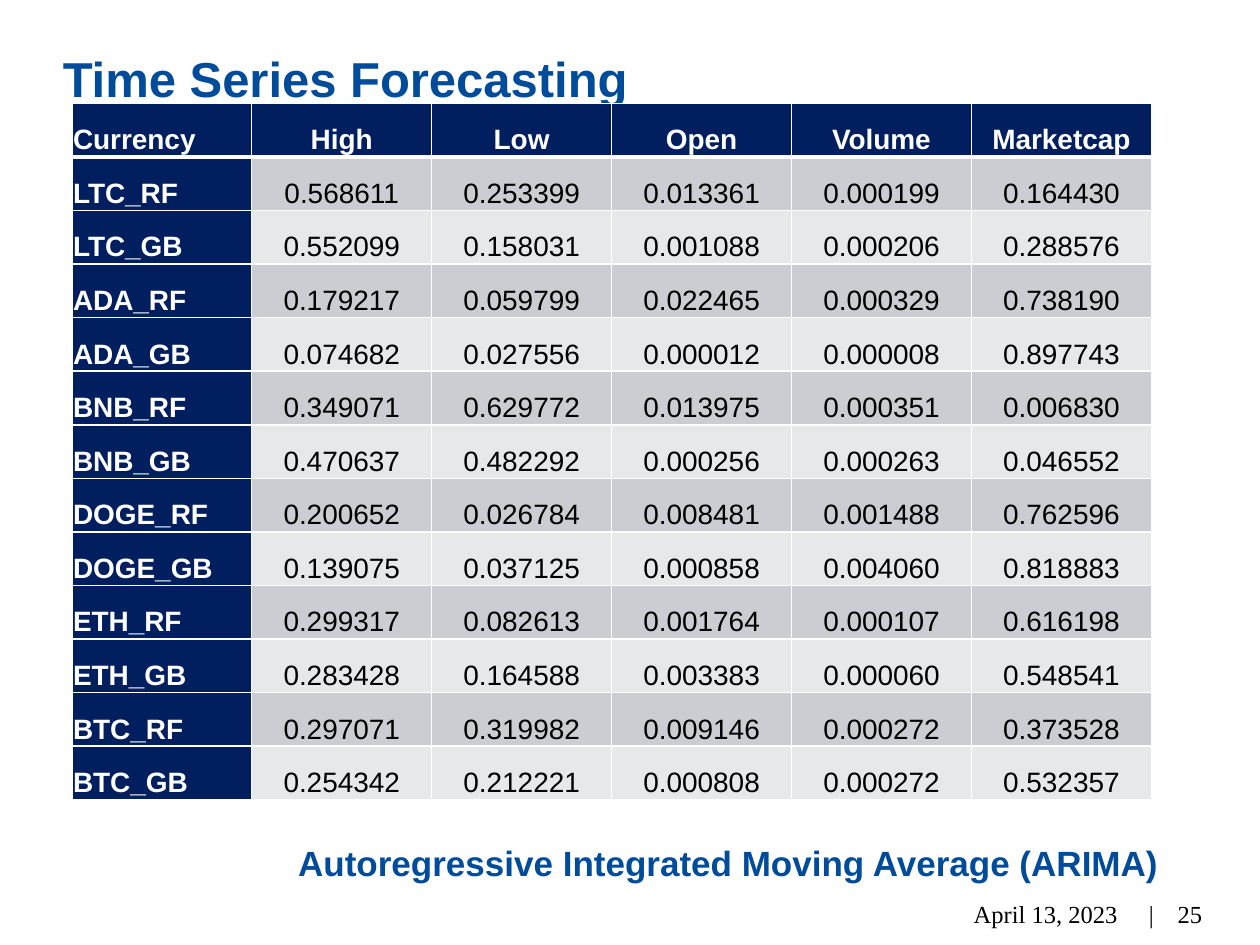
import pptx
import pptx.dml.color
import pptx.enum.text
import pptx.oxml
import pptx.oxml.ns
import pptx.util

Inches = pptx.util.Inches
Pt = pptx.util.Pt
ALIGN = pptx.enum.text.PP_ALIGN
ANCHOR = pptx.enum.text.MSO_ANCHOR

# Content
HEADER = ["Currency", "High", "Low", "Open", "Volume", "Marketcap"]
ROWS = [
    ["LTC_RF", "0.568611", "0.253399", "0.013361", "0.000199", "0.164430"],
    ["LTC_GB", "0.552099", "0.158031", "0.001088", "0.000206", "0.288576"],
    ["ADA_RF", "0.179217", "0.059799", "0.022465", "0.000329", "0.738190"],
    ["ADA_GB", "0.074682", "0.027556", "0.000012", "0.000008", "0.897743"],
    ["BNB_RF", "0.349071", "0.629772", "0.013975", "0.000351", "0.006830"],
    ["BNB_GB", "0.470637", "0.482292", "0.000256", "0.000263", "0.046552"],
    ["DOGE_RF", "0.200652", "0.026784", "0.008481", "0.001488", "0.762596"],
    ["DOGE_GB", "0.139075", "0.037125", "0.000858", "0.004060", "0.818883"],
    ["ETH_RF", "0.299317", "0.082613", "0.001764", "0.000107", "0.616198"],
    ["ETH_GB", "0.283428", "0.164588", "0.003383", "0.000060", "0.548541"],
    ["BTC_RF", "0.297071", "0.319982", "0.009146", "0.000272", "0.373528"],
    ["BTC_GB", "0.254342", "0.212221", "0.000808", "0.000272", "0.532357"],
]

# Colours, fonts and sizes
THEME = {
    "heading": "004C9B", "navy": "011E5E", "white": "FFFFFF", "black": "000000",
    "bands": ["CCCDD2", "E7E8EA"],
    "title_font": {"name": "Arial", "size": Pt(28), "bold": True},
    "caption_font": {"name": "Arial", "size": Pt(20), "bold": True},
    "label_font": {"name": "Arial", "size": Pt(16), "bold": True},
    "value_font": {"name": "Arial", "size": Pt(16), "bold": False},
    "footer_font": {"name": "Times New Roman", "size": Pt(14)},
}
HEADING_LINE = {"line_spacing": Pt(26.6)}
CELL_LINE = {"line_spacing": 1.1, "space_after": Pt(6)}
CELL_FORMAT = {"vertical_anchor": ANCHOR.BOTTOM, **{
    f"margin_{side}": Inches(0.01) for side in ("left", "top", "right", "bottom")}}

# Text, (left, top, width, height), font, colour, paragraph format, anchor, tab stop
TEXT_BOXES = [
    ("Time Series Forecasting", (0.4, 0.43, 9.24, 0.53), "title_font", "heading",
     HEADING_LINE, ANCHOR.TOP, None),
    ("April 13, 2023\t|", (7.63, 7.05, 1.7, 0.4), "footer_font", "black",
     {"alignment": ALIGN.LEFT}, ANCHOR.MIDDLE, 1.39),
    ("25", (8.9, 7.05, 0.74, 0.4), "footer_font", "black",
     {"alignment": ALIGN.RIGHT}, ANCHOR.MIDDLE, None),
    ("Autoregressive Integrated Moving Average (ARIMA) ", (1.2, 6.59, 9.24, 0.53),
     "caption_font", "heading", {"alignment": ALIGN.CENTER, **HEADING_LINE},
     ANCHOR.TOP, None),
]
TABLE_AREA = (0.57, 0.82, 8.57, 5.53)


def apply_format(target, values):
    for name, value in values.items():
        setattr(target, name, value)


def rgb(colour):
    return pptx.dml.color.RGBColor.from_string(colour)


def style_paragraph(paragraph, font, colour, values):
    apply_format(paragraph, values)
    apply_format(paragraph.font, THEME[font])
    paragraph.font.color.rgb = rgb(THEME[colour])


def add_text(slide, text, area, font, colour, values, anchor, tab_stop):
    shape = slide.shapes.add_textbox(*map(Inches, area))
    apply_format(shape.text_frame, {"word_wrap": True, "vertical_anchor": anchor})
    paragraph = shape.text_frame.paragraphs[0]
    paragraph.add_run().text = text
    if tab_stop:
        paragraph._p.get_or_add_pPr().append(pptx.oxml.parse_xml(
            f'<a:tabLst {pptx.oxml.ns.nsdecls("a")}>'
            f'<a:tab pos="{Inches(tab_stop)}" algn="l"/></a:tabLst>'))
    style_paragraph(paragraph, font, colour, values)


def add_borders(cell, widths):
    properties = cell._tc.get_or_add_tcPr()
    for side, width in widths.items():
        properties.append(pptx.oxml.parse_xml(
            f'<a:ln{side} {pptx.oxml.ns.nsdecls("a")} w="{Pt(width)}"><a:solidFill>'
            f'<a:srgbClr val="{THEME["white"]}"/></a:solidFill></a:ln{side}>'))


def add_results_table(slide):
    left, top, width, height = map(Inches, TABLE_AREA)
    records = [HEADER] + ROWS
    table = slide.shapes.add_table(
        len(records), len(HEADER), left, top, width, height).table
    for column in table.columns:
        column.width = width // len(HEADER)
    for row in table.rows:
        row.height = height // len(records)
    for row_index, record in enumerate(records):
        for column_index, text in enumerate(record):
            cell = table.cell(row_index, column_index)
            is_label = row_index == 0 or column_index == 0
            # The rule under the header is heavier than the rest
            add_borders(cell, {"L": 1, "R": 1, "T": 3 if row_index == 1 else 1,
                               "B": 3 if row_index == 0 else 1})
            cell.fill.solid()
            cell.fill.fore_color.rgb = rgb(
                THEME["navy"] if is_label else THEME["bands"][(row_index - 1) % 2])
            apply_format(cell, CELL_FORMAT)
            cell.text = text
            alignment = ALIGN.CENTER if column_index else ALIGN.LEFT
            style_paragraph(cell.text_frame.paragraphs[0],
                            "label_font" if is_label else "value_font",
                            "white" if is_label else "black",
                            {"alignment": alignment, **CELL_LINE})


def main():
    presentation = pptx.Presentation()
    apply_format(presentation, {"slide_width": Inches(10), "slide_height": Inches(7.5)})
    slide = presentation.slides.add_slide(presentation.slide_layouts[6])
    # Title, footer and caption sit behind the table
    for text_box in TEXT_BOXES:
        add_text(slide, *text_box)
    add_results_table(slide)
    presentation.save("out.pptx")


if __name__ == "__main__":
    main()
